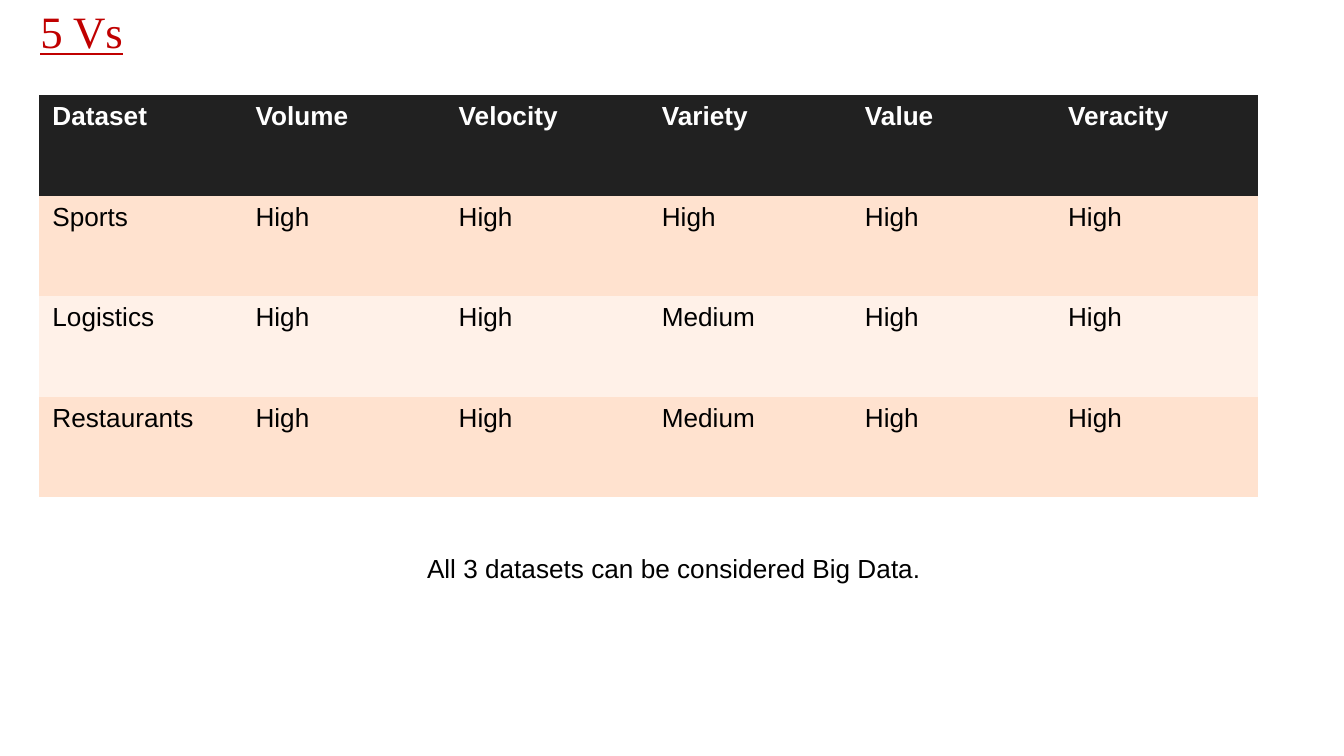
from pptx import Presentation
from pptx.dml.color import RGBColor
from pptx.enum.text import MSO_ANCHOR, MSO_AUTO_SIZE, PP_ALIGN
from pptx.oxml.ns import qn
from pptx.util import Inches, Pt

SLIDE_WIDTH = 10
SLIDE_HEIGHT = SLIDE_WIDTH * 9 / 16
PLAIN_TABLE_STYLE = "{2D5ABB26-0587-4C30-8999-92F81FD0307C}"
HEADER_FILL = "212121"
BAND_FILLS = ["FFE2CF", "FFF1E8"]
ROWS = [
    ["Dataset", "Volume", "Velocity", "Variety", "Value", "Veracity"],
    ["Sports", "High", "High", "High", "High", "High"],
    ["Logistics", "High", "High", "Medium", "High", "High"],
    ["Restaurants", "High", "High", "Medium", "High", "High"],
]


def color(hex_string):
    return RGBColor.from_string(hex_string)


def write(text_frame, text, size, hex_string, font_name="Arial", bold=False):
    text_frame.text = text
    font = text_frame.paragraphs[0].runs[0].font
    font.name = font_name
    font.size = Pt(size)
    font.bold = bold
    font.color.rgb = color(hex_string)
    return font


def place_title(slide, left, top, width, height):
    title = slide.shapes.title
    title.left, title.top = Inches(left), Inches(top)
    title.width, title.height = Inches(width), Inches(height)
    text_frame = title.text_frame
    text_frame.auto_size = MSO_AUTO_SIZE.NONE
    text_frame.vertical_anchor = MSO_ANCHOR.BOTTOM
    text_frame.margin_left = text_frame.margin_right = Inches(0.1)
    text_frame.margin_top = text_frame.margin_bottom = Inches(0.1)
    font = write(text_frame, "5 Vs", 24, "C00000", "Times New Roman")
    font.underline = True
    text_frame.paragraphs[0].alignment = PP_ALIGN.LEFT


def add_ratings_table(slide, left, top, width, height):
    frame = slide.shapes.add_table(
        len(ROWS), len(ROWS[0]),
        Inches(left), Inches(top), Inches(width), Inches(height),
    )
    properties = frame.table._tbl.tblPr
    properties.find(qn("a:tableStyleId")).text = PLAIN_TABLE_STYLE
    for row_index, row in enumerate(ROWS):
        is_header = row_index == 0
        fill = HEADER_FILL if is_header else BAND_FILLS[(row_index - 1) % 2]
        text_color = "FFFFFF" if is_header else "000000"
        for column_index, text in enumerate(row):
            cell = frame.table.cell(row_index, column_index)
            cell.fill.solid()
            cell.fill.fore_color.rgb = color(fill)
            write(cell.text_frame, text, 14, text_color, bold=is_header)


def add_conclusion(slide, left, top, width, height):
    text_box = slide.shapes.add_textbox(
        Inches(left), Inches(top), Inches(width), Inches(height)
    )
    text_frame = text_box.text_frame
    text_frame.word_wrap = True
    text_frame.auto_size = MSO_AUTO_SIZE.SHAPE_TO_FIT_TEXT
    write(text_frame, "All 3 datasets can be considered Big Data.", 14, "000000")
    text_frame.paragraphs[0].alignment = PP_ALIGN.CENTER


def main():
    presentation = Presentation()
    presentation.slide_width = Inches(SLIDE_WIDTH)
    presentation.slide_height = Inches(SLIDE_HEIGHT)
    slide = presentation.slides.add_slide(presentation.slide_layouts[5])
    place_title(slide, 0.2, 0.17, 3.01, 0.36)
    add_ratings_table(slide, 0.29, 0.71, 9.07, 2.99)
    add_conclusion(slide, 1.5, 4.06, 7.03, 0.34)
    presentation.save("out.pptx")


if __name__ == "__main__":
    main()
